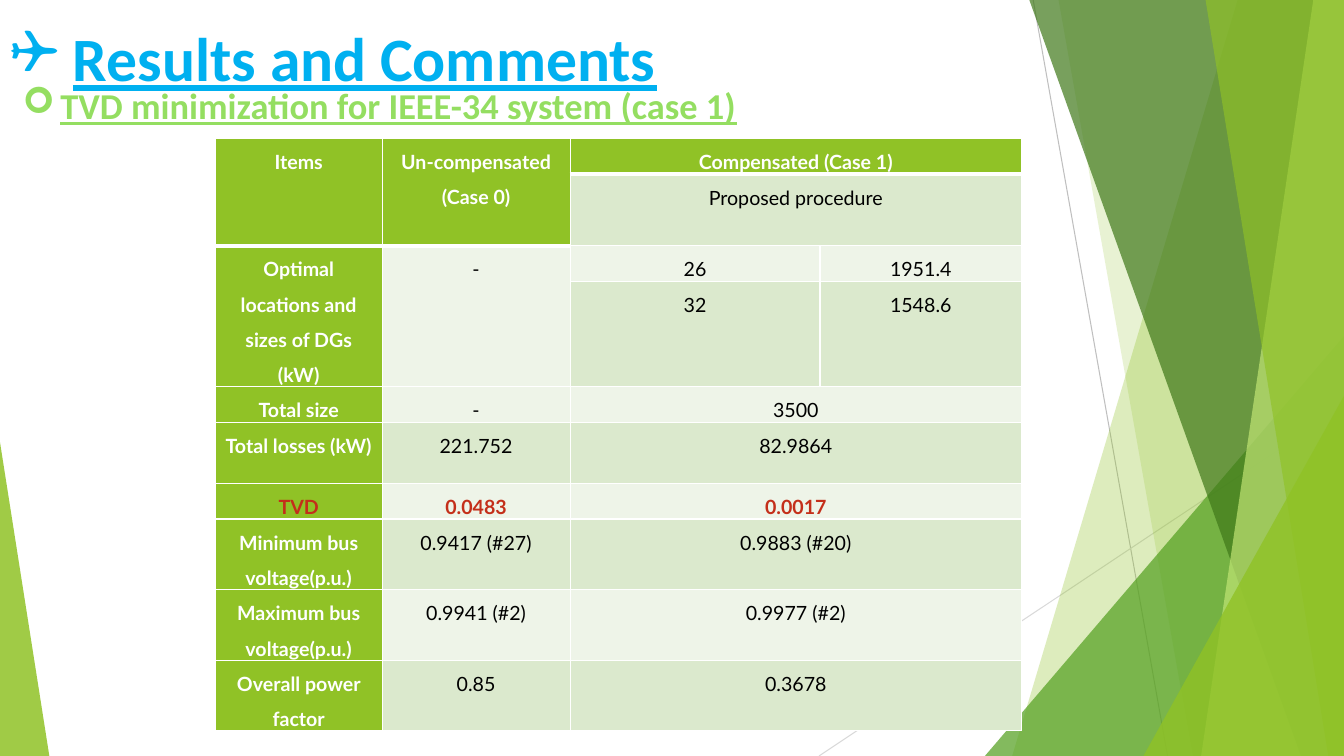
from lxml.etree import SubElement
from pptx import Presentation
from pptx.dml.color import RGBColor
from pptx.enum.shapes import MSO_CONNECTOR, MSO_SHAPE
from pptx.enum.text import MSO_ANCHOR, PP_ALIGN
from pptx.oxml.ns import qn
from pptx.util import Pt

PX = 9525
WIDTH, HEIGHT = 1280, 720
GREEN, WHITE, BLACK, RED = "90C226", "FFFFFF", "000000", "C42F1A"
BANDS = ("EEF4E8", "DBE9CD")

COLUMN_WIDTHS = (159, 179, 238, 192)
ROW_HEIGHTS = (34, 68, 34, 100, 34, 58, 34, 67, 67, 67)
TVD_ROW = 6
RESULTS = (
    ("Items", "Un-compensated\n(Case 0)", "Compensated (Case 1)", None),
    (None, None, "Proposed procedure", None),
    ("Optimal locations and sizes of DGs (kW)", "-", "26", "1951.4"),
    (None, None, "32", "1548.6"),
    ("Total size", "-", "3500", None),
    ("Total losses (kW)", "221.752", "82.9864", None),
    ("TVD", "0.0483", "0.0017", None),
    ("Minimum bus voltage(p.u.)", "0.9417 (#27)", "0.9883 (#20)", None),
    ("Maximum bus voltage(p.u.)", "0.9941 (#2)", "0.9977 (#2)", None),
    ("Overall power factor", "0.85", "0.3678", None),
)


def emu(*lengths):
    return [length * PX for length in lengths]


def color(value):
    return RGBColor.from_string(value)


def paint(shape, fill, opacity):
    shape.shadow.inherit = False
    shape.line.fill.background()
    shape.fill.solid()
    shape.fill.fore_color.rgb = color(fill)
    tint = shape.fill._xPr.find(qn("a:solidFill"))[0]
    SubElement(tint, qn("a:alpha"), val=str(opacity * 1000))


def add_hairline(page, ends, stroke):
    line = page.shapes.add_connector(MSO_CONNECTOR.STRAIGHT, *emu(*ends))
    line.line.color.rgb = color(stroke)
    line.line.width = Pt(0.75)
    SubElement(line._element.spPr, qn("a:effectLst"))


def add_blade(page, top_left, bottom_left, fill, opacity):
    builder = page.shapes.build_freeform(top_left, -1, scale=PX)
    builder.add_line_segments(
        [(WIDTH, -1), (WIDTH, HEIGHT), (bottom_left, HEIGHT)], close=True
    )
    paint(builder.convert_to_shape(), fill, opacity)


def add_corner(page, box, peak, fill, opacity):
    corner = page.shapes.add_shape(MSO_SHAPE.ISOSCELES_TRIANGLE, *emu(*box))
    corner.adjustments[0] = peak
    paint(corner, fill, opacity)


def add_backdrop(page):
    add_hairline(page, (984, 0, 1112, HEIGHT), "BFBFBF")
    add_hairline(page, (WIDTH, 387, 780, HEIGHT), "D9D9D9")
    add_blade(page, 1179, 964, GREEN, 30)
    add_blade(page, 1008, 1136, GREEN, 20)
    add_corner(page, (938, 320, 342, 400), 1, "54A021", 72)
    add_blade(page, 980, 1239, "3F7819", 70)
    add_blade(page, 1251, 1144, "C0E474", 70)
    add_blade(page, 1148, 1265, GREEN, 65)
    add_corner(page, (1089, 377, 191, 343), 1, GREEN, 80)
    add_corner(page, (0, 421, 47, 299), 0, GREEN, 85)


def add_heading(page, box, text, bullet, indent, size, ink, wrap):
    frame = page.shapes.add_textbox(*emu(*box)).text_frame
    frame.word_wrap = wrap
    frame.text = text
    para = frame.paragraphs[0]
    properties = para._p.get_or_add_pPr()
    properties.set("marL", str(indent * PX))
    properties.set("indent", str(-indent * PX))
    SubElement(properties, qn("a:buFont"), typeface="Wingdings")
    SubElement(properties, qn("a:buChar"), char=bullet)
    para.line_spacing = 1.5
    font = para.runs[0].font
    font.name, font.size = "Calibri", Pt(size)
    font.bold = font.underline = True
    font.color.rgb = color(ink)


def add_borders(cell, bottom):
    properties = cell._tc.get_or_add_tcPr()
    for side, width in (("L", 1), ("R", 1), ("T", 1), ("B", bottom)):
        edge = SubElement(properties, qn(f"a:ln{side}"), w=str(Pt(width)))
        fill = SubElement(edge, qn("a:solidFill"))
        SubElement(fill, qn("a:srgbClr"), val=WHITE)


def style_cell(cell, row, column):
    header = row == 0 or column == 0 or (row == 1 and column == 1)
    add_borders(cell, 3 if row == 0 or (row == 1 and column < 2) else 1)
    cell.fill.solid()
    cell.fill.fore_color.rgb = color(GREEN if header else BANDS[row % 2])
    cell.margin_left = cell.margin_right = 7 * PX
    cell.margin_top = cell.margin_bottom = 0
    cell.vertical_anchor = MSO_ANCHOR.TOP
    ink = RED if row == TVD_ROW else WHITE if header else BLACK
    for para in cell.text_frame.paragraphs:
        para.alignment = PP_ALIGN.CENTER
        para.line_spacing = 1.5
        for span in para.runs:
            span.font.name, span.font.size = "Lato", Pt(14)
            span.font.bold = header or row == TVD_ROW
            span.font.color.rgb = color(ink)


def add_results(page, left, top):
    box = (left, top, sum(COLUMN_WIDTHS), sum(ROW_HEIGHTS))
    table = page.shapes.add_table(
        len(ROW_HEIGHTS), len(COLUMN_WIDTHS), *emu(*box)
    ).table
    for column, width in zip(table.columns, COLUMN_WIDTHS):
        column.width = width * PX
    for row, height in zip(table.rows, ROW_HEIGHTS):
        row.height = height * PX
    for row, values in enumerate(RESULTS):
        for column, value in enumerate(values):
            cell = table.cell(row, column)
            if value:
                cell.text_frame.text = value
            style_cell(cell, row, column)
        if values[3] is None:
            table.cell(row, 2).merge(table.cell(row, 3))
        if values[0] is None:
            for column in (0, 1):
                table.cell(row - 1, column).merge(table.cell(row, column))


def main():
    deck = Presentation()
    deck.slide_width, deck.slide_height = emu(WIDTH, HEIGHT)
    page = deck.slides.add_slide(deck.slide_layouts[6])
    add_backdrop(page)
    add_heading(page, (0, -21, 640, 106), "Results and Comments",
                "❑", 60, 44, "00B0F0", False)
    add_heading(page, (12, 54, 960, 66),
                "TVD minimization for IEEE-34 system (case 1)",
                "➢", 36, 26, "94DE61", True)
    add_results(page, 205, 132)
    deck.save("out.pptx")


if __name__ == "__main__":
    main()
